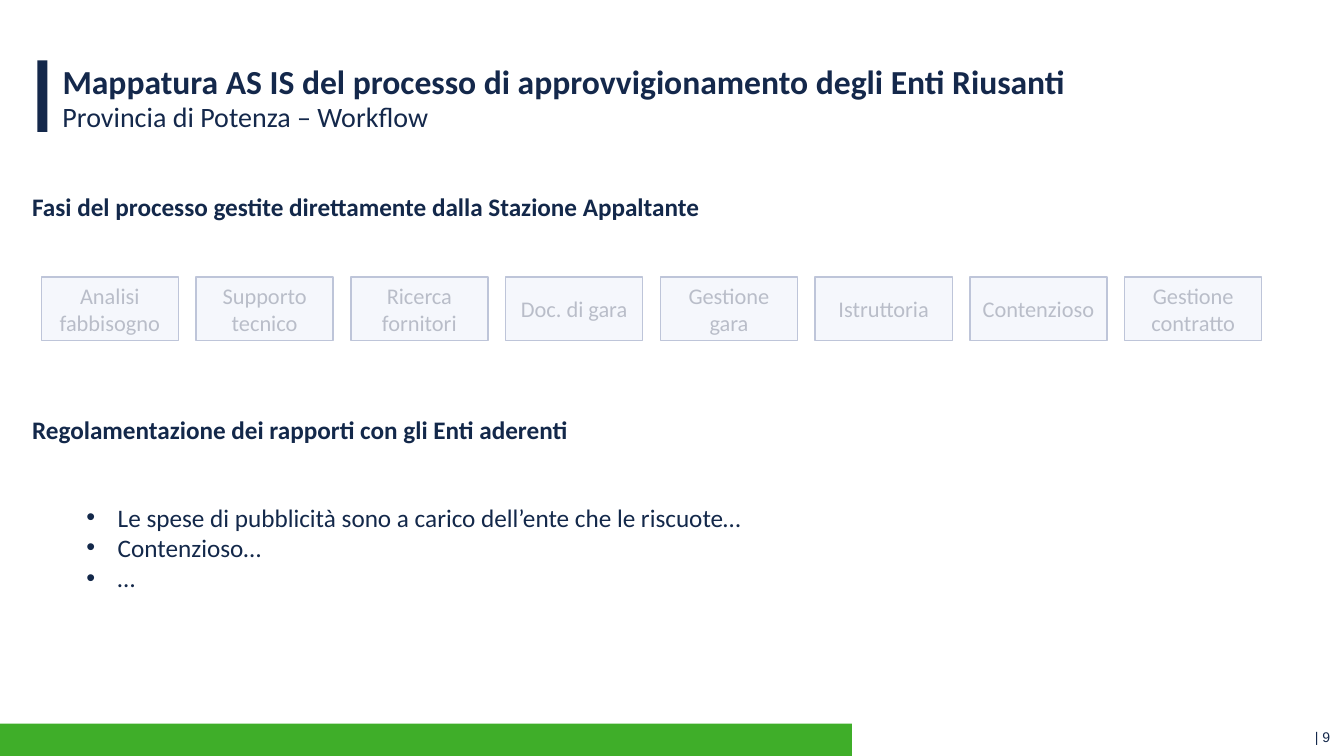
from dataclasses import dataclass

from lxml.etree import SubElement
from pptx import Presentation
from pptx.dml.color import RGBColor
from pptx.enum.shapes import MSO_SHAPE as Preset
from pptx.enum.text import MSO_ANCHOR as Anchor, MSO_AUTO_SIZE as AutoSize, PP_ALIGN as Align
from pptx.oxml.ns import qn
from pptx.shapes.autoshape import Shape
from pptx.slide import Slide
from pptx.text.text import TextFrame, _Paragraph as Paragraph
from pptx.util import Inches, Pt

NAVY = RGBColor(0x14, 0x28, 0x4B)
INK = RGBColor(0x13, 0x28, 0x4A)
PHASE_INK = RGBColor(0x17, 0x24, 0x4A)
PHASE_LINE = RGBColor(0x28, 0x3F, 0x80)
PHASE_FILL = RGBColor(0xDE, 0xE7, 0xF6)
GREEN = RGBColor(0x3F, 0xAE, 0x29)
WHITE = RGBColor(0xFF, 0xFF, 0xFF)

PHASES = (
    "Analisi fabbisogno", "Supporto tecnico", "Ricerca fornitori", "Doc. di gara",
    "Gestione gara", "Istruttoria", "Contenzioso", "Gestione contratto",
)
PHASE_LEFT, PHASE_STEP = 0.41, 1.535
RULES = (
    "Le spese di pubblicità sono a carico dell’ente che le riscuote…",
    "Contenzioso…",
    "…",
)


@dataclass(frozen=True)
class Box:
    left: float
    top: float
    width: float
    height: float

    def lengths(self) -> tuple[Inches, Inches, Inches, Inches]:
        return Inches(self.left), Inches(self.top), Inches(self.width), Inches(self.height)


@dataclass(frozen=True)
class Style:
    size: float
    color: RGBColor = INK
    bold: bool = False
    font: str = "Calibri"
    align: Align = Align.LEFT


@dataclass(frozen=True)
class Heading:
    text: str
    box: Box


HEADINGS = (
    Heading("Fasi del processo gestite direttamente dalla Stazione Appaltante", Box(0.22, 1.85, 6.88, 0.4)),
    Heading("Regolamentazione dei rapporti con gli Enti aderenti", Box(0.22, 4.06, 5.61, 0.4)),
)


def write(paragraph: Paragraph, text: str, style: Style) -> None:
    paragraph.alignment = style.align
    run = paragraph.add_run()
    run.text = text
    run.font.name = style.font
    run.font.size = Pt(style.size)
    run.font.bold = style.bold
    run.font.color.rgb = style.color


def add_block(slide: Slide, box: Box, fill: RGBColor) -> Shape:
    block = slide.shapes.add_shape(Preset.RECTANGLE, *box.lengths())
    block.shadow.inherit = False
    block.fill.solid()
    block.fill.fore_color.rgb = fill
    block.line.fill.background()
    return block


def add_text(slide: Slide, box: Box, lines: tuple[str, ...], style: Style, wrap: bool = False) -> TextFrame:
    frame = slide.shapes.add_textbox(*box.lengths()).text_frame
    frame.word_wrap = wrap
    frame.auto_size = AutoSize.SHAPE_TO_FIT_TEXT
    for index, line in enumerate(lines):
        write(frame.paragraphs[0] if index == 0 else frame.add_paragraph(), line, style)
    return frame


def fit_header(frame: TextFrame) -> None:
    frame.word_wrap = True
    frame.auto_size = AutoSize.NONE
    frame.vertical_anchor = Anchor.TOP
    frame.margin_left = frame.margin_right = Inches(0.04)
    frame.margin_top = frame.margin_bottom = 0


def add_bullet(paragraph: Paragraph) -> None:
    properties = paragraph._p.get_or_add_pPr()
    properties.set("marL", str(Inches(0.31)))
    properties.set("indent", str(Inches(-0.31)))
    SubElement(properties, qn("a:buFont"), typeface="Arial")
    SubElement(properties, qn("a:buChar"), char="•")


def add_phase(slide: Slide, name: str, box: Box) -> None:
    phase = add_block(slide, box, PHASE_FILL)
    phase.line.color.rgb = PHASE_LINE
    phase.line.width = Pt(1)
    frame = phase.text_frame
    frame.word_wrap = True
    frame.vertical_anchor = Anchor.MIDDLE
    write(frame.paragraphs[0], name, Style(16, PHASE_INK, align=Align.CENTER))


def add_veil(slide: Slide, box: Box, opacity: int) -> None:
    veil = add_block(slide, box, WHITE)
    color = veil._element.spPr.find(qn("a:solidFill"))[0]
    SubElement(color, qn("a:alpha"), val=str(opacity * 1000))


def add_header(slide: Slide) -> None:
    add_block(slide, Box(0.37, 0.6, 0.1, 0.71), NAVY)
    title = slide.shapes.title
    title.left, title.top, title.width, title.height = Box(0.58, 0.6, 12, 0.39).lengths()
    fit_header(title.text_frame)
    write(
        title.text_frame.paragraphs[0],
        "Mappatura AS IS del processo di approvvigionamento degli Enti Riusanti",
        Style(24, NAVY, bold=True),
    )
    subtitle = add_text(
        slide, Box(0.58, 0.99, 12, 0.39), ("Provincia di Potenza – Workflow",), Style(20, NAVY), wrap=True
    )
    fit_header(subtitle)


def add_footer(slide: Slide) -> None:
    add_block(slide, Box(0, 7.18, 8.45, 0.32), GREEN)
    page_style = Style(10, NAVY, font="Arial", align=Align.RIGHT)
    add_text(slide, Box(10.13, 7.18, 3.16, 0.27), ("| 9",), page_style, wrap=True)


def main() -> None:
    deck = Presentation()
    deck.slide_width, deck.slide_height = Inches(13.33), Inches(7.5)
    slide = deck.slides.add_slide(deck.slide_layouts[5])
    add_footer(slide)
    add_header(slide)
    for index, name in enumerate(PHASES):
        add_phase(slide, name, Box(PHASE_LEFT + index * PHASE_STEP, 2.75, 1.36, 0.63))
    add_veil(slide, Box(0.22, 2.29, 12.71, 1.65), opacity=70)
    for heading in HEADINGS:
        add_text(slide, heading.box, (heading.text,), Style(18, bold=True))
    rules = add_text(slide, Box(0.76, 4.93, 6.84, 1.01), RULES, Style(18))
    for rule in rules.paragraphs:
        add_bullet(rule)
    deck.save("out.pptx")


if __name__ == "__main__":
    main()
